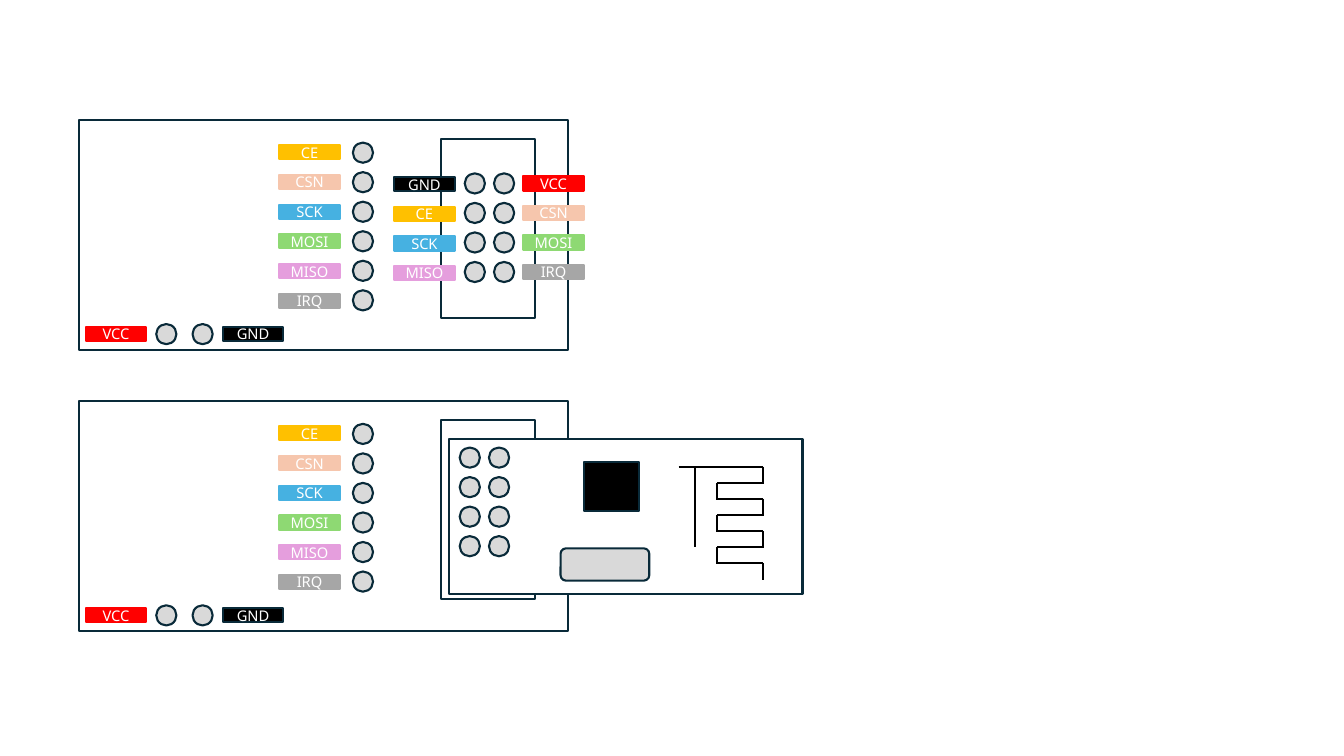
from itertools import product

from lxml.etree import SubElement
from pptx import Presentation
from pptx.dml.color import RGBColor
from pptx.enum.shapes import MSO_CONNECTOR, MSO_SHAPE
from pptx.enum.text import MSO_ANCHOR, PP_ALIGN
from pptx.oxml.ns import qn
from pptx.util import Inches, Pt

COLORS = {
    "board": "FFFFFF", "outline": "092A39", "metal": "D9D9D9", "text": "FFFFFF",
    "chip": "000000", "trace": "000000",
    "VCC": "FF0000", "GND": "000000", "CE": "FFC000", "CSN": "F6C6AD",
    "SCK": "46B1E1", "MOSI": "8ED973", "MISO": "E59EDD", "IRQ": "A6A6A6",
}

deck = Presentation()
deck.slide_width, deck.slide_height = Inches(13.33), Inches(7.5)
page = deck.slides.add_slide(deck.slide_layouts[6])

# Grid: every length below counts these columns and rows
COLUMN = deck.slide_width / 1333
ROW = deck.slide_height / 750
PIN = 20
LABEL_WIDTH, LABEL_HEIGHT = 60, 14
PIN_STEP = 29.3
LABEL_STEP = 29.5
BOARD_LEFT = 78


def add_part(parent, kind, left, top, width, height, fill, text=""):
    shape = parent.shapes.add_shape(
        kind, round(left * COLUMN), round(top * ROW),
        round(width * COLUMN), round(height * ROW))
    shape.shadow.inherit = False
    shape.fill.solid()
    shape.fill.fore_color.rgb = RGBColor.from_string(COLORS[fill])
    edge = fill if text and text != "GND" else "outline"
    shape.line.color.rgb = RGBColor.from_string(COLORS[edge])
    shape.line.width = Pt(1.5)
    if text:
        frame = shape.text_frame
        frame.word_wrap = False
        frame.vertical_anchor = MSO_ANCHOR.MIDDLE
        frame.margin_left = frame.margin_right = 0
        frame.margin_top = frame.margin_bottom = 0
        para = frame.paragraphs[0]
        para.alignment = PP_ALIGN.CENTER
        span = para.add_run()
        span.text = text
        span.font.name = "Noto Sans"
        span.font.size = Pt(10.5)
        span.font.color.rgb = RGBColor.from_string(COLORS["text"])


def add_trace(parent, left, top, right, bottom):
    trace = parent.shapes.add_connector(
        MSO_CONNECTOR.STRAIGHT, round(left * COLUMN), round(top * ROW),
        round(right * COLUMN), round(bottom * ROW))
    trace.line.color.rgb = RGBColor.from_string(COLORS["trace"])
    trace.line.width = Pt(1.5)
    SubElement(trace._element.spPr, qn("a:effectLst"))


# Two adapter boards: the lower one carries the module, the upper one is bare
lower = page.shapes.add_group_shape()
module = page.shapes.add_group_shape()
upper = page.shapes.add_group_shape()
UPPER_TOP, LOWER_TOP = 119, 398

for board, top in ((lower, LOWER_TOP), (upper, UPPER_TOP)):
    add_part(board, MSO_SHAPE.RECTANGLE, BOARD_LEFT, top, 485, 228, "board")
    add_part(board, MSO_SHAPE.RECTANGLE, 437, top + 18.5, 94, 178, "board")

    # Signal pins and their labels
    for index, name in enumerate(("CE", "CSN", "SCK", "MOSI", "MISO", "IRQ")):
        add_part(board, MSO_SHAPE.OVAL, 350, top + 22.5 + index * PIN_STEP,
                 PIN, PIN, "metal")
        add_part(board, MSO_SHAPE.RECTANGLE, 277, top + 25 + index * LABEL_STEP,
                 LABEL_WIDTH, LABEL_HEIGHT, name, name)

    # Power pins and their labels
    for name, pin_left, label_left in (("VCC", 155, 85), ("GND", 191, 221)):
        add_part(board, MSO_SHAPE.OVAL, pin_left, top + 202.5, PIN, PIN, "metal")
        add_part(board, MSO_SHAPE.RECTANGLE, label_left, top + 205.5,
                 LABEL_WIDTH, LABEL_HEIGHT, name, name)

# Socket on the upper board: two columns of pins, labelled on the outside
SOCKET = (
    (461, 391, 176, ("GND", "CE", "SCK", "MISO")),
    (490, 519, 175, ("VCC", "CSN", "MOSI", "IRQ")),
)
for pin_left, label_left, label_top, names in SOCKET:
    for index, name in enumerate(names):
        offset = index * PIN_STEP
        add_part(upper, MSO_SHAPE.OVAL, pin_left, 172 + offset, PIN, PIN, "metal")
        add_part(upper, MSO_SHAPE.RECTANGLE, label_left, label_top + offset,
                 LABEL_WIDTH, LABEL_HEIGHT, name, name)

# Radio module: board, crystal, chip and pins
add_part(module, MSO_SHAPE.RECTANGLE, 445, 436, 351, 153, "board")
add_part(module, MSO_SHAPE.ROUNDED_RECTANGLE, 556, 544, 88, 32, "metal")
add_part(module, MSO_SHAPE.RECTANGLE, 579, 458, 55, 49, "chip")
for index, pin_left in product(range(4), (456, 485)):
    add_part(module, MSO_SHAPE.OVAL, pin_left, 444 + index * PIN_STEP,
             PIN, PIN, "metal")

# Antenna: feed lines, then a meander that turns right and left in turn
FEED_LEFT, MEANDER_LEFT, MEANDER_RIGHT = 673, 711, 756.5
ANTENNA_TOP, MEANDER_STEP, MEANDER_ROWS = 463, 15.9, 7
add_trace(module, 689, ANTENNA_TOP, 689, 543)
for index in range(MEANDER_ROWS):
    y = ANTENNA_TOP + index * MEANDER_STEP
    add_trace(module, MEANDER_LEFT if index else FEED_LEFT, y, MEANDER_RIGHT, y)
    x = MEANDER_LEFT if index % 2 else MEANDER_RIGHT
    add_trace(module, x, y, x, y + MEANDER_STEP + 1)

deck.save("out.pptx")
